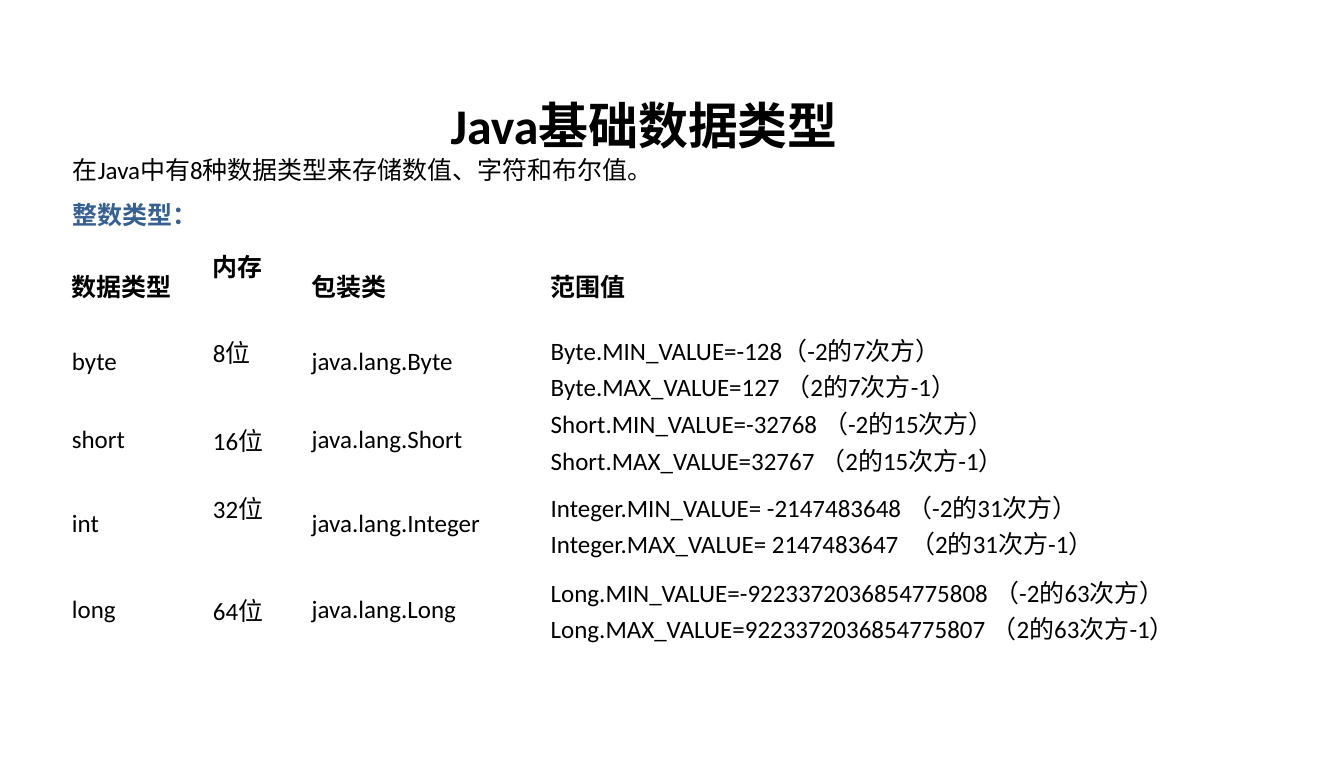
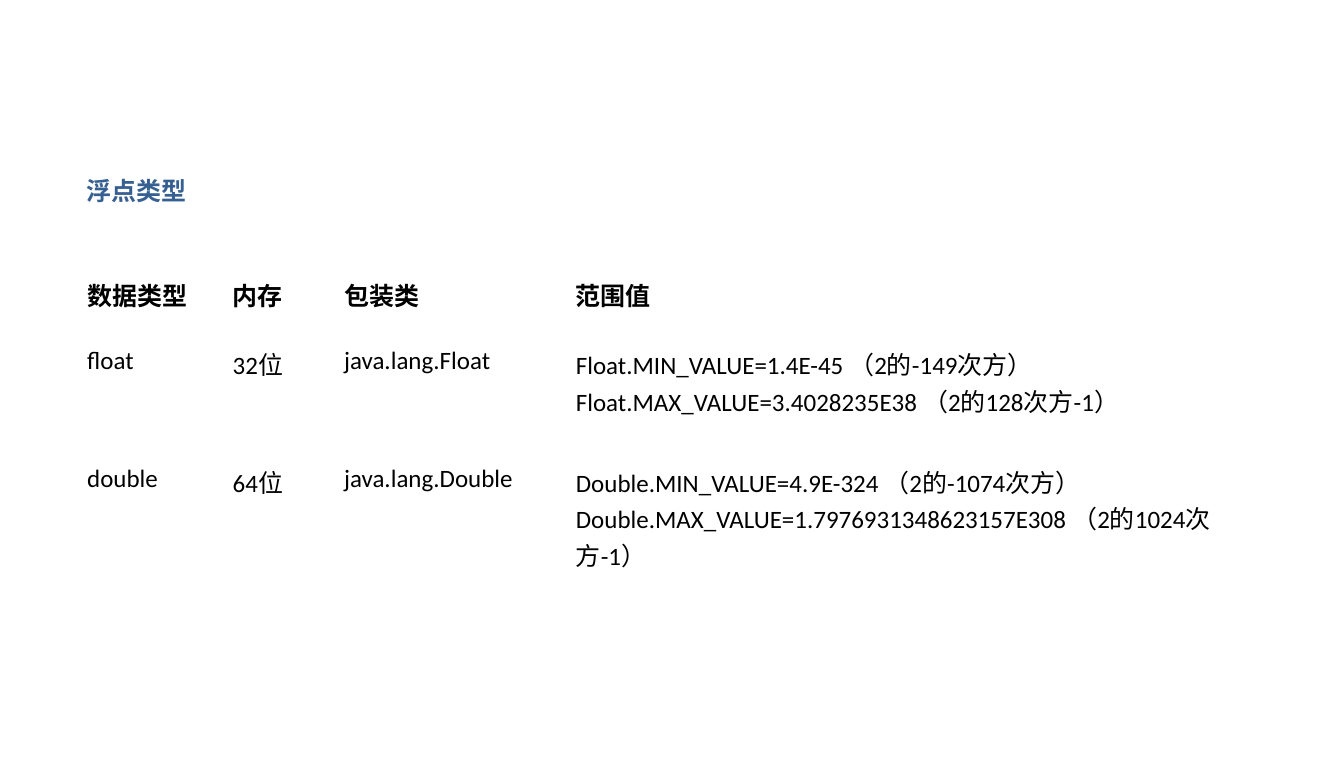
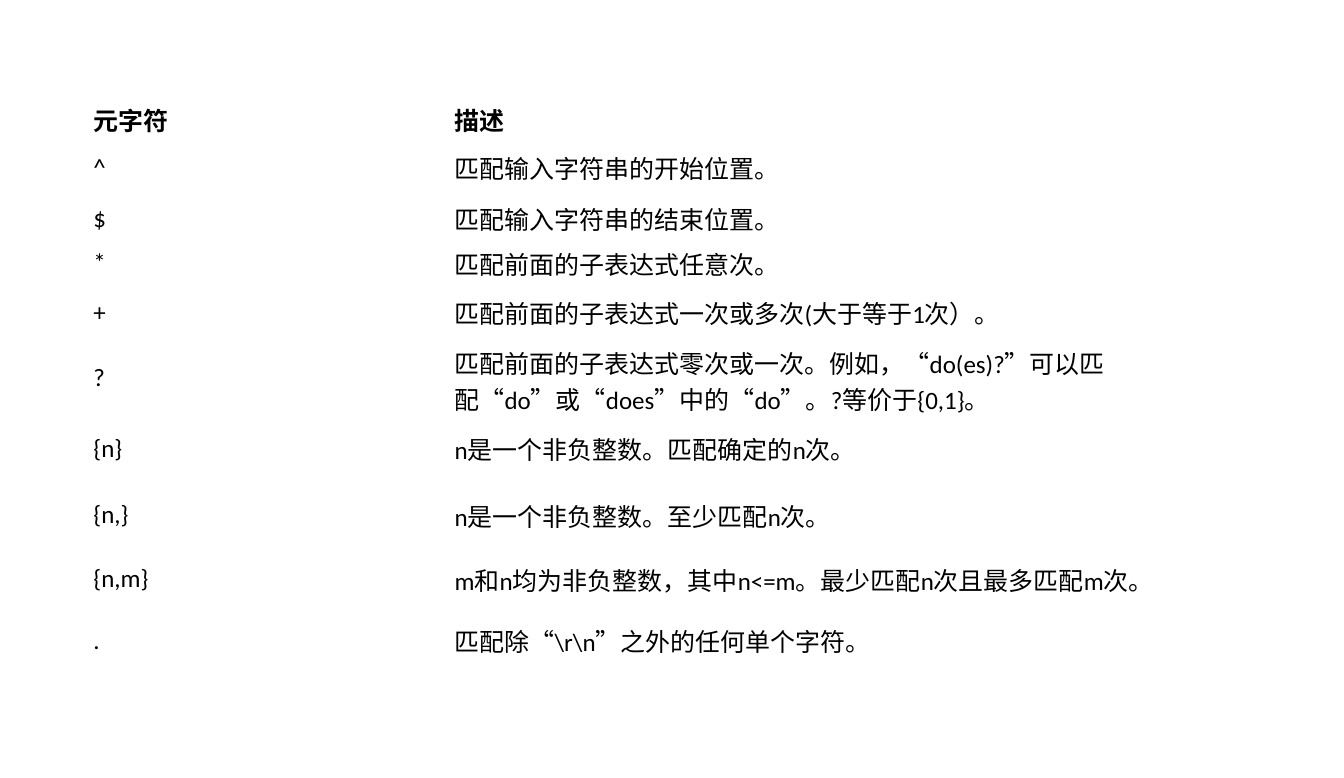
from dataclasses import dataclass

from lxml import etree
from pptx import Presentation
from pptx.dml.color import RGBColor
from pptx.enum.text import MSO_ANCHOR as Anchor, MSO_AUTO_SIZE as AutoSize, PP_ALIGN as Align
from pptx.oxml.ns import qn
from pptx.util import Inches, Pt


@dataclass(frozen=True)
class Theme:
    ink: RGBColor = RGBColor(0x00, 0x00, 0x00)
    accent: RGBColor = RGBColor(0x37, 0x60, 0x92)
    font: str = "Calibri"
    heading_font: str = "Arial"
    title_size: Pt = Pt(40)
    text_size: Pt = Pt(20)


THEME = Theme()
TITLE_AND_BODY, TITLE_ONLY, BLANK = 1, 5, 6


def style(para, size=THEME.text_size, color=THEME.ink, bold=False, name=THEME.font):
    para.font.name = name
    para.font.size = size
    para.font.bold = bold
    para.font.color.rgb = color


def add_plain_table(slide, left, top, widths, heights, rows,
                    margin=0, body_anchor=Anchor.MIDDLE, lifts=None):
    """Add an unfilled table; lifts maps (row, column) to extra inches below the text,
    or above it when negative."""
    frame = slide.shapes.add_table(len(rows), len(widths), Inches(left), Inches(top),
                                   Inches(sum(widths)), Inches(sum(heights)))
    table = frame.table
    table.first_row = table.horz_banding = False
    for column, width in zip(table.columns, widths):
        column.width = Inches(width)
    for row_index, (row, height, texts) in enumerate(zip(table.rows, heights, rows)):
        row.height = Inches(height)
        for column_index, (cell, text) in enumerate(zip(row.cells, texts)):
            cell.text = text
            cell.fill.background()
            cell.vertical_anchor = body_anchor if row_index else Anchor.MIDDLE
            lift = (lifts or {}).get((row_index, column_index), 0)
            cell.margin_top = Inches(margin + max(-lift, 0))
            cell.margin_bottom = Inches(margin + max(lift, 0))
            for para in cell.text_frame.paragraphs:
                style(para, bold=row_index == 0)


deck = Presentation()
deck.slide_width, deck.slide_height = Inches(14.96), Inches(8.66)
type_header = ("数据类型", "内存", "包装类", "范围值")

# Integer types
slide = deck.slides.add_slide(deck.slide_layouts[TITLE_AND_BODY])
title, body = slide.placeholders
for box, left, top, height in ((title, 0.75, 0.93, 0.92), (body, 0.71, 1.67, 1)):
    box.left, box.top = Inches(left), Inches(top)
    box.width, box.height = Inches(12.84), Inches(height)
    box.text_frame.auto_size = AutoSize.NONE

title.text_frame.text = "Java基础数据类型"
title.text_frame.vertical_anchor = Anchor.MIDDLE
title_para = title.text_frame.paragraphs[0]
title_para.alignment = Align.CENTER
style(title_para, size=THEME.title_size, bold=True)

body.text_frame.text = "在Java中有8种数据类型来存储数值、字符和布尔值。\n整数类型："
body.text_frame.vertical_anchor = Anchor.TOP
intro, heading = body.text_frame.paragraphs
heading.line_spacing = 1.5
for para in (intro, heading):
    para.space_before = Pt(0)
    properties = para._p.get_or_add_pPr()
    properties.set("marL", "0")
    properties.set("indent", "0")
    etree.SubElement(properties, qn("a:buNone"))
style(intro)
style(heading, color=THEME.accent, bold=True)

add_plain_table(
    slide, 0.7, 2.68, (1.57, 1.1, 2.66, 8.69), (1, 0.82, 0.86, 0.95, 0.95),
    (
        type_header,
        ("byte", "8位", "java.lang.Byte",
         "Byte.MIN_VALUE=-128（-2的7次方）\nByte.MAX_VALUE=127 （2的7次方-1）"),
        ("short", "16位", "java.lang.Short",
         "Short.MIN_VALUE=-32768 （-2的15次方）\nShort.MAX_VALUE=32767 （2的15次方-1）"),
        ("int", "32位", "java.lang.Integer",
         "Integer.MIN_VALUE= -2147483648 （-2的31次方）\n"
         "Integer.MAX_VALUE= 2147483647  （2的31次方-1）"),
        ("long", "64位", "java.lang.Long",
         "Long.MIN_VALUE=-9223372036854775808 （-2的63次方）\n"
         "Long.MAX_VALUE=9223372036854775807 （2的63次方-1）"),
    ),
    lifts={(0, 1): 0.44, (1, 0): 0.13, (1, 1): 0.36, (1, 2): 0.13,
           (2, 0): 0.07, (2, 1): 0.07, (2, 2): 0.07, (2, 3): 0.04, (3, 1): 0.36},
)

# Floating-point types
slide = deck.slides.add_slide(deck.slide_layouts[TITLE_ONLY])
add_plain_table(
    slide, 0.87, 2.75, (1.62, 1.24, 2.58, 7.55), (1.05, 1.31, 1.89),
    (
        type_header,
        ("float", "32位", "java.lang.Float",
         "Float.MIN_VALUE=1.4E-45 （2的-149次方）\n"
         "Float.MAX_VALUE=3.4028235E38 （2的128次方-1）"),
        ("double", "64位", "java.lang.Double",
         "Double.MIN_VALUE=4.9E-324 （2的-1074次方）\n"
         "Double.MAX_VALUE=1.7976931348623157E308 （2的1024次方-1）"),
    ),
    margin=0.05,
    body_anchor=Anchor.TOP,
)
title = slide.shapes.title
title.left, title.top = Inches(0.86), Inches(1.9)
title.width, title.height = Inches(1.33), Inches(0.44)
title.text_frame.text = "浮点类型"
title.text_frame.auto_size = AutoSize.NONE
title.text_frame.word_wrap = False
title.text_frame.vertical_anchor = Anchor.MIDDLE
title_para = title.text_frame.paragraphs[0]
title_para.alignment = Align.LEFT
style(title_para, color=THEME.accent, bold=True, name=THEME.heading_font)

# Regular expression metacharacters
slide = deck.slides.add_slide(deck.slide_layouts[BLANK])
add_plain_table(
    slide, 0.94, 1.13, (4.02, 8.9),
    (0.4, 0.67, 0.47, 0.52, 0.58, 0.87, 0.71, 0.77, 0.65, 0.72),
    (
        ("元字符", "描述"),
        ("^", "匹配输入字符串的开始位置。"),
        ("$", "匹配输入字符串的结束位置。"),
        ("*", "匹配前面的子表达式任意次。"),
        ("+", "匹配前面的子表达式一次或多次(大于等于1次）。"),
        ("?", "匹配前面的子表达式零次或一次。例如，“do(es)?”可以匹配“do”或“does”中的“do”。?等价于{0,1}。"),
        ("{n}", "n是一个非负整数。匹配确定的n次。"),
        ("{n,}", "n是一个非负整数。至少匹配n次。"),
        ("{n,m}", "m和n均为非负整数，其中n<=m。最少匹配n次且最多匹配m次。"),
        (".", "匹配除“\\r\\n”之外的任何单个字符。"),
    ),
    lifts={(5, 1): -0.06},
)

deck.save("out.pptx")
